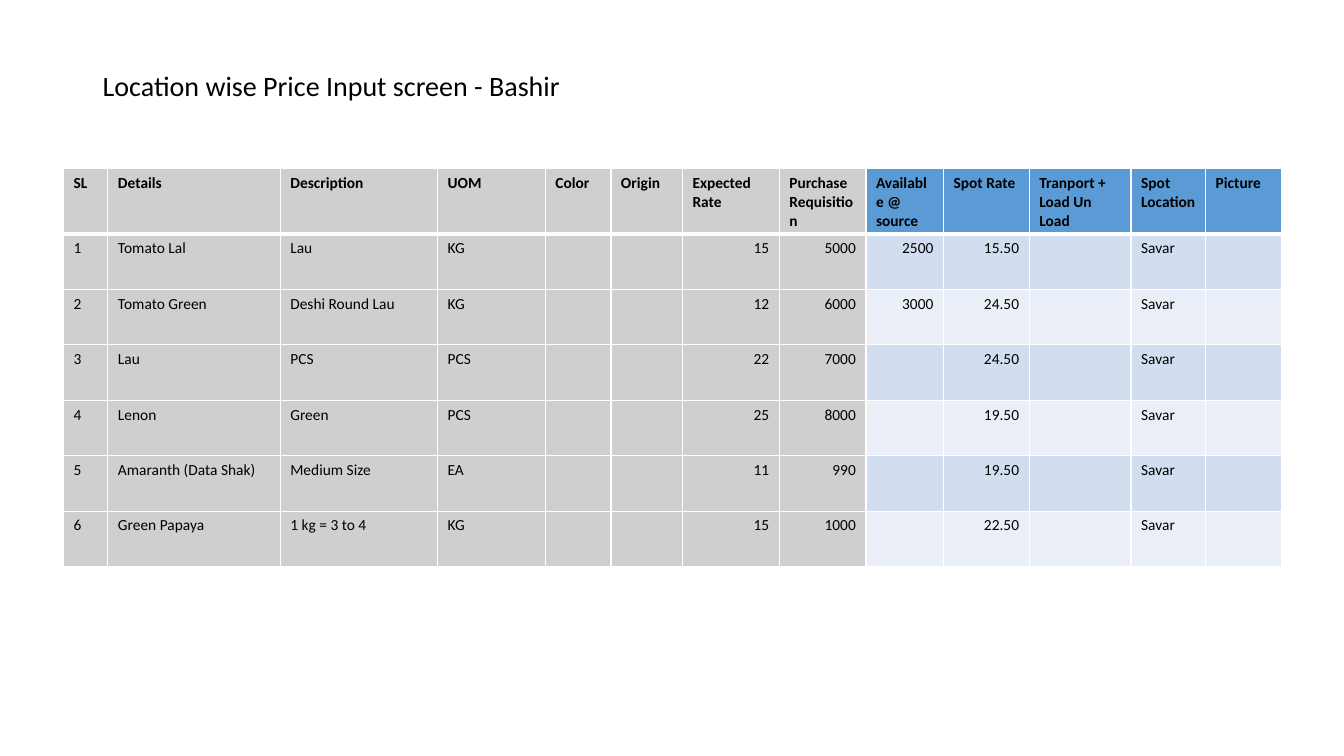
from lxml.etree import SubElement
from pptx import Presentation
from pptx.dml.color import RGBColor
from pptx.enum.text import MSO_ANCHOR as Anchor, PP_ALIGN as Align
from pptx.oxml.ns import qn
from pptx.util import Inches, Pt

SLIDE_WIDTH, SLIDE_HEIGHT = 13.33, 7.5
FONT = "Calibri"
BLACK, WHITE = "000000", "FFFFFF"
REQUEST_FILL, SPOT_HEADER_FILL = "D0CECE", "5B9BD5"
SPOT_BANDS = ("D2DEEF", "EAEFF7")
FIRST_SPOT_COLUMN = 8
NUMBER_COLUMNS = range(6, 10)
COLUMN_WIDTHS = (0.44, 1.71, 1.56, 1.07, 0.65, 0.71, 0.96,
                 0.86, 0.77, 0.85, 1.01, 0.74, 0.75)
HEADER_HEIGHT, ROW_HEIGHT = 0.61, 0.55
HEADERS = ("SL", "Details", "Description", "UOM", "Color", "Origin",
           "Expected Rate", "Purchase Requisition", "Available @ source",
           "Spot Rate", "Tranport + Load Un Load", "Spot Location", "Picture")
SPOT_LOCATION = "Savar"
# Details, description, unit, expected rate, requisition, available, spot rate
PRICES = (
    ("Tomato Lal", "Lau", "KG", "15", "5000", "2500", "15.50"),
    ("Tomato Green", "Deshi Round Lau", "KG", "12", "6000", "3000", "24.50"),
    ("Lau", "PCS", "PCS", "22", "7000", "", "24.50"),
    ("Lenon", "Green", "PCS", "25", "8000", "", "19.50"),
    ("Amaranth (Data Shak)", "Medium Size", "EA", "11", "990", "", "19.50"),
    ("Green Papaya", "1 kg = 3 to 4", "KG", "15", "1000", "", "22.50"),
)


def color(hex_code):
    """Turn a hex string into a colour."""
    return RGBColor.from_string(hex_code)


def set_font(paragraph, size, bold=False):
    """Give a paragraph the slide's typeface in black."""
    font = paragraph.font
    font.name, font.size, font.bold = FONT, Pt(size), bold
    font.color.rgb = color(BLACK)


def add_title(slide, text):
    """Add the heading, centred vertically in its box."""
    box = slide.shapes.add_textbox(Inches(0.92), Inches(0.4),
                                   Inches(11.5), Inches(0.93))
    frame = box.text_frame
    frame.word_wrap = True
    frame.vertical_anchor = Anchor.MIDDLE
    paragraph = frame.paragraphs[0]
    paragraph.text = text
    paragraph.line_spacing = 0.9
    set_font(paragraph, 20)


def set_borders(cell, widths):
    """Draw white borders; widths lists left, right, top, bottom in points."""
    properties = cell._tc.get_or_add_tcPr()
    for side, width in zip("LRTB", widths):
        line = SubElement(properties, qn(f"a:ln{side}"), w=str(Pt(width)))
        fill = SubElement(line, qn("a:solidFill"))
        SubElement(fill, qn("a:srgbClr"), val=WHITE)


def cell_fill(row, column):
    """Choose the fill: grey request columns, banded blue spot columns."""
    if column < FIRST_SPOT_COLUMN:
        return REQUEST_FILL
    return SPOT_BANDS[(row - 1) % 2] if row else SPOT_HEADER_FILL


def style_cell(cell, text, row, column):
    """Write one cell with its font, alignment, borders and fill."""
    is_header = row == 0
    paragraph = cell.text_frame.paragraphs[0]
    paragraph.text = text
    set_font(paragraph, 11, bold=is_header)
    if not is_header and column in NUMBER_COLUMNS:
        paragraph.alignment = Align.RIGHT
    set_borders(cell, (1, 1, 3 if row == 1 else 1, 3 if is_header else 1))
    cell.fill.solid()
    cell.fill.fore_color.rgb = color(cell_fill(row, column))


def price_rows():
    """Number the prices and fill out the columns left for input."""
    for number, price in enumerate(PRICES, start=1):
        yield (str(number), *price[:3], "", "", *price[3:],
               "", SPOT_LOCATION, "")


def add_price_table(slide):
    """Add the price input table."""
    rows = [HEADERS, *price_rows()]
    height = HEADER_HEIGHT + ROW_HEIGHT * len(PRICES)
    table = slide.shapes.add_table(
        len(rows), len(HEADERS), Inches(0.63), Inches(1.67),
        Inches(sum(COLUMN_WIDTHS)), Inches(height)).table
    for column, width in zip(table.columns, COLUMN_WIDTHS):
        column.width = Inches(width)
    for row_index, texts in enumerate(rows):
        row_height = ROW_HEIGHT if row_index else HEADER_HEIGHT
        table.rows[row_index].height = Inches(row_height)
        for column_index, text in enumerate(texts):
            style_cell(table.cell(row_index, column_index), text,
                       row_index, column_index)


def main():
    """Build and save the slide."""
    presentation = Presentation()
    presentation.slide_width = Inches(SLIDE_WIDTH)
    presentation.slide_height = Inches(SLIDE_HEIGHT)
    slide = presentation.slides.add_slide(presentation.slide_layouts[6])
    add_title(slide, "Location wise Price Input screen - Bashir")
    add_price_table(slide)
    presentation.save("out.pptx")


main()
